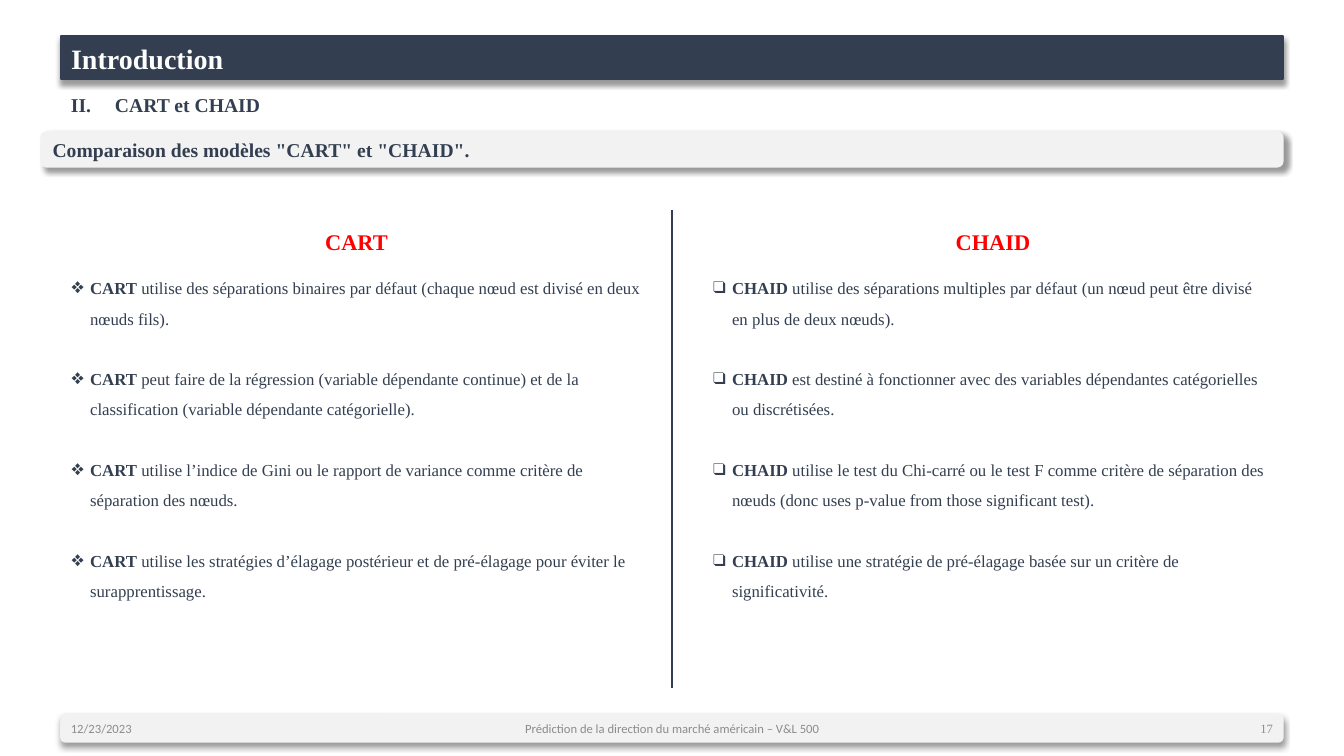
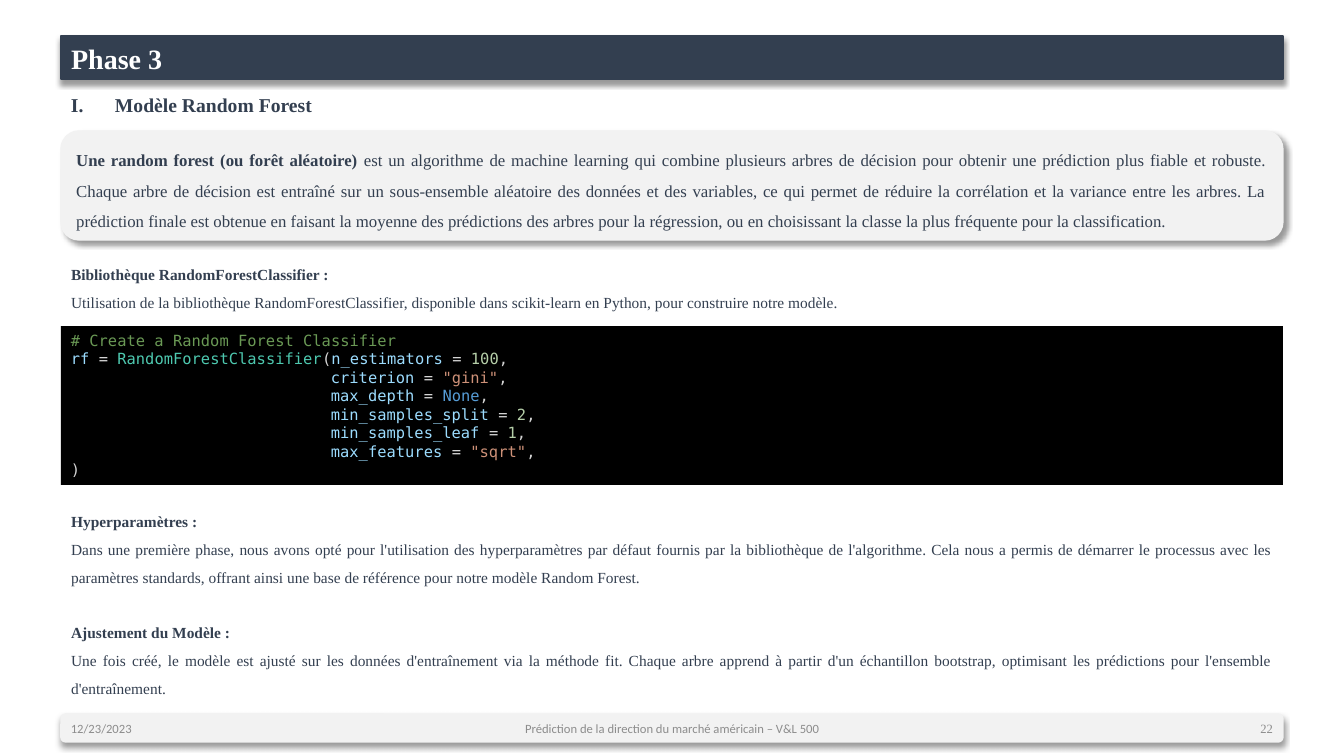
import dataclasses

import lxml.etree
import pptx
import pptx.dml.color
import pptx.enum.shapes
import pptx.enum.text
import pptx.oxml.ns
import pptx.util

EMU_PER_PX = 914400 / 100.8
ALIGN = pptx.enum.text.PP_ALIGN
ANCHOR = pptx.enum.text.MSO_ANCHOR
SHAPE = pptx.enum.shapes.MSO_SHAPE


@dataclasses.dataclass(frozen=True)
class Theme:
    navy: str = "333F50"
    pale: str = "F2F2F2"
    white: str = "FFFFFF"
    black: str = "000000"
    red: str = "FF0000"
    gray: str = "8C8C8C"
    code_comment: str = "6A9955"
    code_variable: str = "9CDCFE"
    code_class: str = "4EC9B0"
    code_plain: str = "D4D4D4"
    code_number: str = "B5CEA8"
    code_string: str = "CE9178"
    code_keyword: str = "569CD6"
    serif: str = "Times New Roman"
    sans: str = "Calibri"
    mono: str = "DejaVu Sans Mono"
    title_size: int = 20
    column_size: int = 16
    section_size: int = 14
    text_size: int = 12
    detail_size: int = 11
    footer_size: int = 9


THEME = Theme()


@dataclasses.dataclass(frozen=True)
class Box:
    left: int
    top: int
    width: int
    height: int


TITLE_BOX = Box(61, 36, 1222, 43)
SECTION_BOX = Box(61, 88, 672, 34)
FOOTER_BOX = Box(61, 714, 1222, 28)
DATE = "12/23/2023"
FOOTER = "Prédiction de la direction du marché américain – V&L 500"


def px(length):
    return pptx.util.Emu(round(length * EMU_PER_PX))


def rgb(color):
    return pptx.dml.color.RGBColor.from_string(color)


def add_xml(parent, tag, **attributes):
    """Append a DrawingML element and return it."""
    element = lxml.etree.SubElement(parent, pptx.oxml.ns.qn(tag))
    for name, value in attributes.items():
        element.set(name, str(value))
    return element


def place(shape, box):
    shape.left, shape.top = px(box.left), px(box.top)
    shape.width, shape.height = px(box.width), px(box.height)


def prepare_frame(shape, anchor=ANCHOR.TOP):
    frame = shape.text_frame
    frame.word_wrap = True
    frame.auto_size = pptx.enum.text.MSO_AUTO_SIZE.NONE
    frame.vertical_anchor = anchor
    return frame


def write(frame, text, *, size=THEME.text_size, color=THEME.navy, font=THEME.serif,
          bold=False, align=ALIGN.LEFT, spacing=1.0, before=0, margin=0,
          bullet=None, number=None):
    """Add a paragraph; text is a string or a list of (string, format changes)."""
    paragraph = frame.add_paragraph() if frame.text else frame.paragraphs[0]
    paragraph.alignment = align
    paragraph.line_spacing = spacing
    paragraph.space_before = pptx.util.Pt(before)
    properties = paragraph._p.get_or_add_pPr()
    properties.set("marL", str(px(margin)))
    properties.set("indent", str(-px(margin) if bullet or number else 0))
    if bullet:
        add_xml(properties, "a:buFont", typeface=font)
        add_xml(properties, "a:buChar", char=bullet)
    elif number:
        add_xml(properties, "a:buFont", typeface=font)
        add_xml(properties, "a:buAutoNum", type="romanUcPeriod", startAt=number)
    else:
        add_xml(properties, "a:buNone")
    for part, changes in [(text, {})] if isinstance(text, str) else text:
        run = paragraph.add_run()
        run.text = part
        run.font.name = font
        run.font.size = pptx.util.Pt(size)
        run.font.bold = changes.get("bold", bold)
        run.font.color.rgb = rgb(changes.get("color", color))


def style_band(shape, color, direction):
    """Fill a band and give it the soft shadow, cast at direction degrees."""
    shape.fill.solid()
    shape.fill.fore_color.rgb = rgb(color)
    shape.line.color.rgb = rgb(color)
    shape.line.width = pptx.util.Pt(1)
    effects = add_xml(shape.element.spPr, "a:effectLst")
    shadow = add_xml(effects, "a:outerShdw", blurRad=pptx.util.Pt(4),
                     dist=pptx.util.Pt(3), dir=direction * 60000,
                     algn="tl", rotWithShape=0)
    add_xml(add_xml(shadow, "a:srgbClr", val=THEME.black), "a:alpha", val=40000)


def add_band(slide, box, direction):
    band = slide.shapes.add_shape(SHAPE.ROUNDED_RECTANGLE, 0, 0, 0, 0)
    place(band, box)
    style_band(band, THEME.pale, direction)
    return prepare_frame(band, ANCHOR.MIDDLE)


def add_text_box(slide, box, anchor=ANCHOR.TOP):
    text_box = slide.shapes.add_textbox(0, 0, 0, 0)
    place(text_box, box)
    return prepare_frame(text_box, anchor)


def body_frame(slide, index, box):
    body = slide.placeholders[index]
    place(body, box)
    return prepare_frame(body)


def add_footer(slide, box, page):
    add_band(slide, box, 90)
    side = 334
    middle = box.width - 2 * side
    left = box.left
    for width, text, align, font in (
        (side, DATE, ALIGN.LEFT, THEME.sans),
        (middle, FOOTER, ALIGN.CENTER, THEME.sans),
        (side, page, ALIGN.RIGHT, THEME.serif),
    ):
        frame = add_text_box(slide, Box(left, box.top, width, box.height), ANCHOR.MIDDLE)
        write(frame, text, size=THEME.footer_size, color=THEME.gray, font=font, align=align)
        left += width


def add_base_slide(presentation, title, section, number, page):
    """Add a slide with its title band, numbered section heading and footer."""
    slide = presentation.slides.add_slide(presentation.slide_layouts.get_by_name("Two Content"))
    title_shape = slide.shapes.title
    place(title_shape, TITLE_BOX)
    style_band(title_shape, THEME.navy, 90)
    write(prepare_frame(title_shape), title, size=THEME.title_size, color=THEME.white, bold=True)
    write(add_text_box(slide, SECTION_BOX), section, size=THEME.section_size, bold=True,
          margin=44, number=number)
    add_footer(slide, FOOTER_BOX, page)
    return slide


def add_model_column(slide, index, box, model, bullet, points):
    heading_height, list_offset = 47, 53
    heading = add_text_box(slide, Box(box.left, box.top, box.width, heading_height))
    write(heading, model, size=THEME.column_size, color=THEME.red, bold=True,
          align=ALIGN.CENTER, spacing=1.5)
    frame = body_frame(slide, index, Box(box.left, box.top + list_offset, box.width,
                                         box.height - list_offset))
    for position, point in enumerate(points):
        write(frame, [(model, {"bold": True}), (f" {point}", {})], spacing=1.5,
              before=21.6 if position else 0, margin=19, bullet=bullet)


def add_divider(slide, left, top, bottom):
    divider = slide.shapes.add_connector(pptx.enum.shapes.MSO_CONNECTOR.STRAIGHT,
                                         px(left), px(top), px(left), px(bottom))
    divider.line.color.rgb = rgb(THEME.navy)
    divider.line.width = pptx.util.Pt(1.5)
    add_xml(divider.element.spPr, "a:effectLst")


def add_topics(frame, topics):
    for position, (heading, text) in enumerate(topics):
        style = {"size": THEME.detail_size, "align": ALIGN.JUSTIFY, "spacing": 1.5}
        write(frame, heading, bold=True, before=20 if position else 0, **style)
        write(frame, text, **style)


def add_code(slide, box):
    panel = slide.shapes.add_shape(SHAPE.RECTANGLE, 0, 0, 0, 0)
    place(panel, box)
    panel.shadow.inherit = False
    panel.fill.solid()
    panel.fill.fore_color.rgb = rgb(THEME.black)
    panel.line.fill.background()
    frame = prepare_frame(panel)
    call = [("rf", {"color": THEME.code_variable}), (" = ", {}),
            ("RandomForestClassifier", {"color": THEME.code_class}), ("(", {})]
    arguments = (
        ("n_estimators", "100", THEME.code_number),
        ("criterion", '"gini"', THEME.code_string),
        ("max_depth", "None", THEME.code_keyword),
        ("min_samples_split", "2", THEME.code_number),
        ("min_samples_leaf", "1", THEME.code_number),
        ("max_features", '"sqrt"', THEME.code_string),
    )
    style = {"size": THEME.detail_size, "font": THEME.mono, "color": THEME.code_plain}
    write(frame, [("# Create a Random Forest Classifier", {"color": THEME.code_comment})], **style)
    for position, (name, value, color) in enumerate(arguments):
        argument = [(name, {"color": THEME.code_variable}), (" = ", {}),
                    (value, {"color": color}), (",", {})]
        write(frame, argument if position else call + argument,
              margin=260 if position else 0, **style)
    write(frame, ")", **style)


def add_comparison_slide(presentation):
    slide = add_base_slide(presentation, "Introduction", "CART et CHAID", 2, "17")
    write(add_band(slide, Box(41, 132, 1242, 35), 45),
          'Comparaison des modèles "CART" et "CHAID".', size=THEME.section_size, bold=True)
    add_divider(slide, 672, 210, 688)
    add_model_column(slide, 1, Box(61, 210, 591, 478), "CART", "❖", (
        "utilise des séparations binaires par défaut (chaque nœud est divisé en deux nœuds fils).",
        "peut faire de la régression (variable dépendante continue) et de la classification "
        "(variable dépendante catégorielle).",
        "utilise l’indice de Gini ou le rapport de variance comme critère de séparation des nœuds.",
        "utilise les stratégies d’élagage postérieur et de pré-élagage pour éviter le "
        "surapprentissage.",
    ))
    add_model_column(slide, 2, Box(703, 210, 580, 478), "CHAID", "❑", (
        "utilise des séparations multiples par défaut (un nœud peut être divisé en plus de deux "
        "nœuds).",
        "est destiné à fonctionner avec des variables dépendantes catégorielles ou discrétisées.",
        "utilise le test du Chi-carré ou le test F comme critère de séparation des nœuds (donc "
        "uses p-value from those significant test).",
        "utilise une stratégie de pré-élagage basée sur un critère de significativité.",
    ))


def add_forest_slide(presentation):
    slide = add_base_slide(presentation, "Phase 3", "Modèle Random Forest", 1, "22")
    definition = add_band(slide, Box(61, 131, 1222, 109), 45)
    write(definition, [
        ("Une random forest (ou forêt aléatoire) ", {"bold": True}),
        ("est un algorithme de machine learning qui combine plusieurs arbres de décision pour "
         "obtenir une prédiction plus fiable et robuste. Chaque arbre de décision est entraîné "
         "sur un sous-ensemble aléatoire des données et des variables, ce qui permet de réduire "
         "la corrélation et la variance entre les arbres. La prédiction finale est obtenue en "
         "faisant la moyenne des prédictions des arbres pour la régression, ou en choisissant "
         "la classe la plus fréquente pour la classification.", {}),
    ], align=ALIGN.JUSTIFY, spacing=1.5)
    add_topics(body_frame(slide, 1, Box(61, 251, 1222, 70)), (
        ("Bibliothèque RandomForestClassifier :",
         "Utilisation de la bibliothèque RandomForestClassifier, disponible dans scikit-learn "
         "en Python, pour construire notre modèle."),
    ))
    add_code(slide, Box(61, 326, 1222, 159))
    add_topics(body_frame(slide, 2, Box(61, 498, 1222, 206)), (
        ("Hyperparamètres :",
         "Dans une première phase, nous avons opté pour l'utilisation des hyperparamètres par "
         "défaut fournis par la bibliothèque de l'algorithme. Cela nous a permis de démarrer le "
         "processus avec les paramètres standards, offrant ainsi une base de référence pour "
         "notre modèle Random Forest."),
        ("Ajustement du Modèle :",
         "Une fois créé, le modèle est ajusté sur les données d'entraînement via la méthode fit. "
         "Chaque arbre apprend à partir d'un échantillon bootstrap, optimisant les prédictions "
         "pour l'ensemble d'entraînement."),
    ))


def main():
    presentation = pptx.Presentation()
    presentation.slide_width, presentation.slide_height = px(1344), px(756)
    add_comparison_slide(presentation)
    add_forest_slide(presentation)
    presentation.save("out.pptx")


if __name__ == "__main__":
    main()
